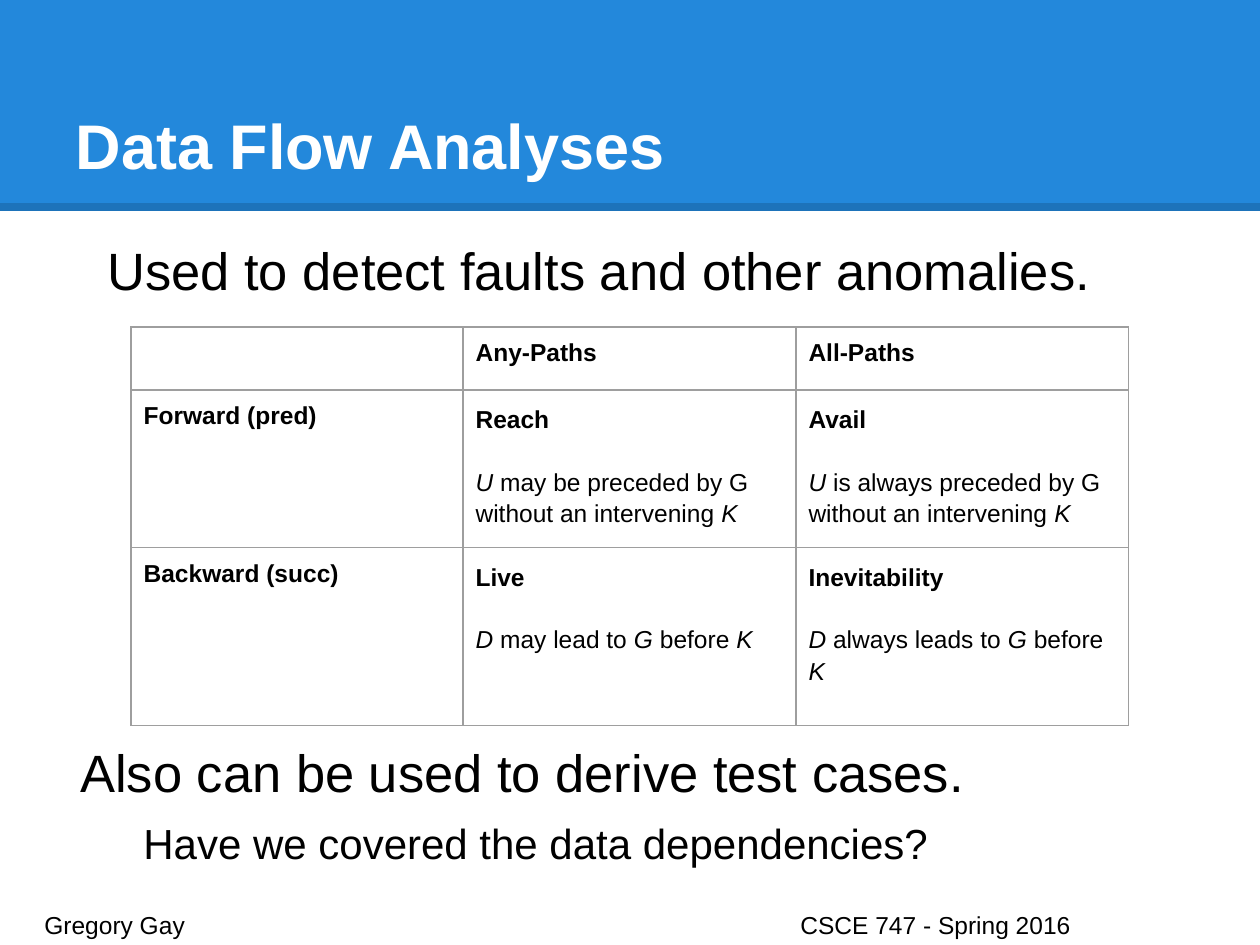
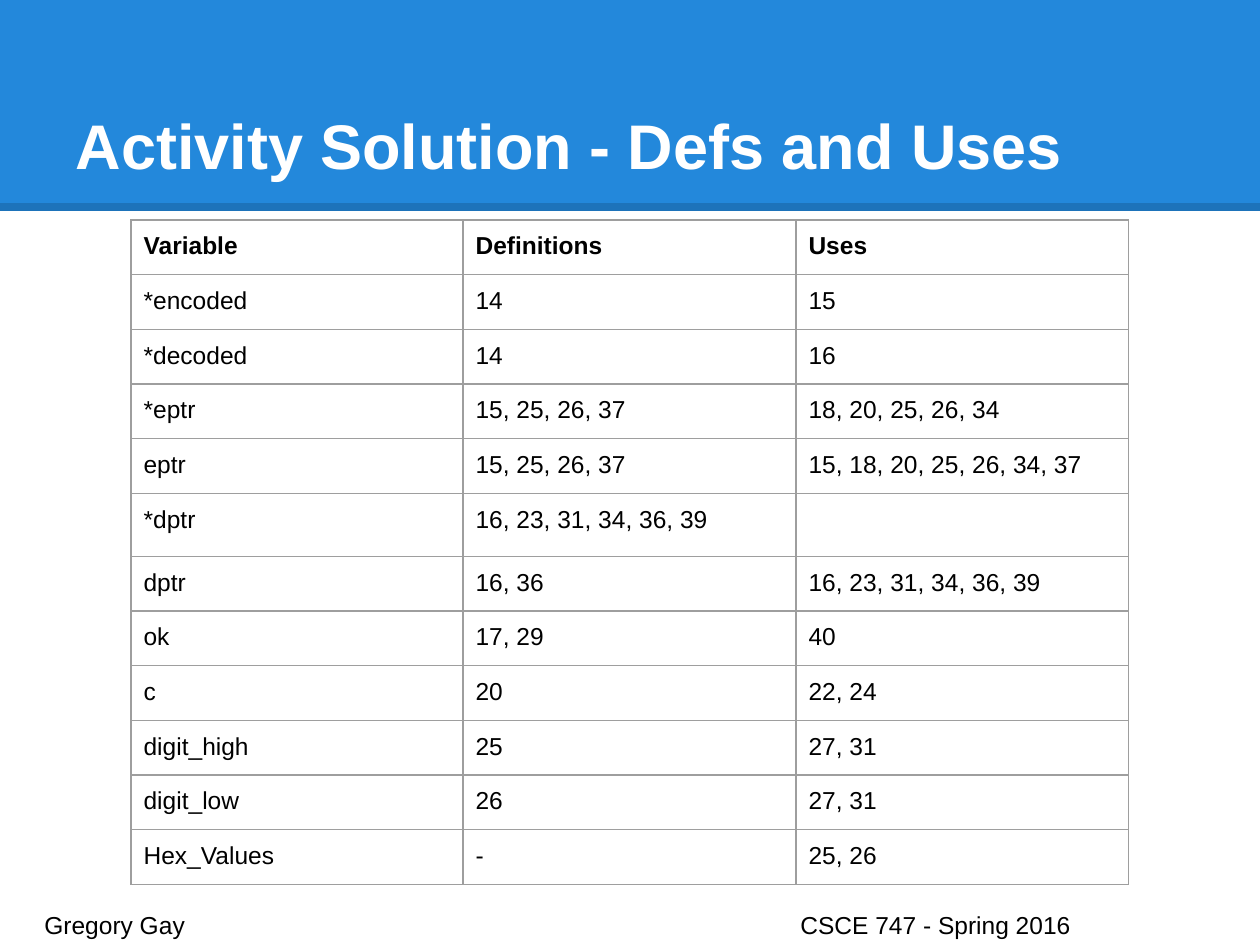
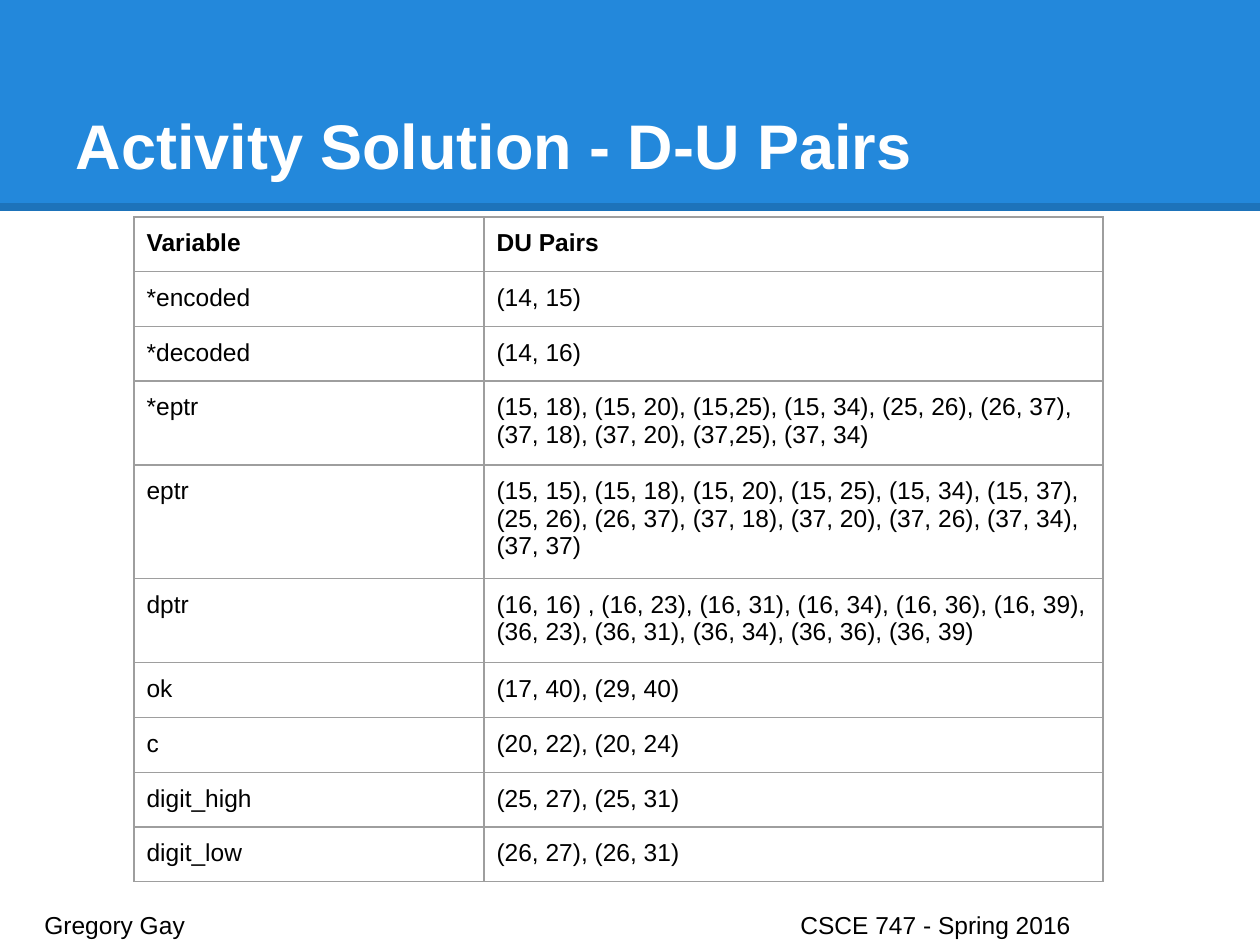
from lxml.etree import SubElement
from pptx import Presentation
from pptx.dml.color import RGBColor
from pptx.enum.shapes import MSO_CONNECTOR, MSO_SHAPE
from pptx.enum.text import MSO_ANCHOR, MSO_AUTO_SIZE, PP_ALIGN
from pptx.oxml.ns import qn
from pptx.util import Inches, Pt

PX = 914400 / 126
PAD = Inches(0.1)
FONT = "Arial"
BLUE = RGBColor(0x23, 0x88, 0xDB)
BLACK = RGBColor(0, 0, 0)
WHITE = RGBColor(0xFF, 0xFF, 0xFF)
GREY = RGBColor(0x9E, 0x9E, 0x9E)

FLOWS = [
    ["", "Any-Paths", "All-Paths"],
    ["Forward (pred)",
     ("Reach", ["U ", "may be preceded by G without an intervening ", "K"]),
     ("Avail", ["U ", "is always preceded by G without an intervening ", "K"])],
    ["Backward (succ)",
     ("Live", ["D ", "may lead to ", "G", " before ", "K"]),
     ("Inevitability", ["D ", "always leads to ", "G", " before ", "K"])],
]
USES = [
    ["Variable", "Definitions", "Uses"],
    ["*encoded", "14", "15"],
    ["*decoded", "14", "16"],
    ["*eptr", "15, 25, 26, 37", "18, 20, 25, 26, 34"],
    ["eptr", "15, 25, 26, 37", "15, 18, 20, 25, 26, 34, 37"],
    ["*dptr", "16, 23, 31, 34, 36, 39", ""],
    ["dptr", "16, 36", "16, 23, 31, 34, 36, 39"],
    ["ok", "17, 29", "40"],
    ["c", "20", "22, 24"],
    ["digit_high", "25", "27, 31"],
    ["digit_low", "26", "27, 31"],
    ["Hex_Values", "-", "25, 26"],
]
PAIRS = [
    ["Variable", "DU Pairs"],
    ["*encoded", "(14, 15)"],
    ["*decoded", "(14, 16)"],
    ["*eptr", "(15, 18), (15, 20), (15,25), (15, 34), (25, 26), (26, 37), "
              "(37, 18), (37, 20), (37,25), (37, 34)"],
    ["eptr", "(15, 15), (15, 18), (15, 20), (15, 25), (15, 34), (15, 37), "
             "(25, 26), (26, 37), (37, 18), (37, 20), (37, 26), (37, 34), "
             "(37, 37)"],
    ["dptr", "(16, 16) , (16, 23), (16, 31), (16, 34), (16, 36), (16, 39), "
             "(36, 23), (36, 31), (36, 34), (36, 36), (36, 39)"],
    ["ok", "(17, 40), (29, 40)"],
    ["c", "(20, 22), (20, 24)"],
    ["digit_high", "(25, 27), (25, 31)"],
    ["digit_low", "(26, 27), (26, 31)"],
]


def px(*values):
    return [round(value * PX) for value in values]


def style(para, size, color=BLACK, bold=False):
    for run in para.runs:
        font = run.font
        font.name, font.size, font.bold = FONT, Pt(size), bold
        font.color.rgb = color


def inset(item):
    """Give a text frame or a table cell the same margin on all sides."""
    item.margin_left = item.margin_right = PAD
    item.margin_top = item.margin_bottom = PAD


def add_box(slide, left, top, width, height):
    frame = slide.shapes.add_textbox(*px(left, top, width, height)).text_frame
    frame.word_wrap = True
    inset(frame)
    return frame


def add_band(slide):
    """Draw the blue band and its darker lower edge behind the title."""
    band = slide.shapes.add_shape(MSO_SHAPE.RECTANGLE, *px(0, 0, 1260, 211))
    band.shadow.inherit = False
    band.fill.solid()
    band.fill.fore_color.rgb = BLUE
    band.line.fill.background()

    edge = slide.shapes.add_connector(MSO_CONNECTOR.STRAIGHT,
                                      *px(0, 207, 1260, 207))
    edge.line.width = Pt(4.5)
    edge.line.color.rgb = BLACK
    props = edge.element.spPr
    tint = props.find(".//" + qn("a:srgbClr"))
    SubElement(tint, qn("a:alpha"), val="15000")
    SubElement(props, qn("a:effectLst"))

    tree = slide.shapes.element
    tree.insert(2, band.element)
    tree.insert(3, edge.element)


def add_title(slide, text):
    title = slide.shapes.title
    title.left, title.top, title.width, title.height = px(63, 38, 1134, 157)
    frame = title.text_frame
    frame.text = text
    frame.word_wrap = True
    frame.auto_size = MSO_AUTO_SIZE.NONE
    frame.vertical_anchor = MSO_ANCHOR.BOTTOM
    inset(frame)
    para = frame.paragraphs[0]
    para.alignment = PP_ALIGN.LEFT
    style(para, 36, WHITE, True)


def add_footer(slide):
    frame = add_box(slide, 32, 897, 1198, 38)
    frame.text = "Gregory Gay\tCSCE 747 - Spring 2016"
    para = frame.paragraphs[0]
    stops = SubElement(para._p.get_or_add_pPr(), qn("a:tabLst"))
    SubElement(stops, qn("a:tab"), pos=str(px(756)[0]), algn="l")
    style(para, 14)


def add_slide(deck, title):
    slide = deck.slides.add_slide(deck.slide_layouts[5])
    add_band(slide)
    add_title(slide, title)
    add_footer(slide)
    return slide


def add_body(slide, lines):
    """Write lines of (text, size, indent in px, points before)."""
    frame = add_box(slide, 63, 220, 1134, 684)
    frame.margin_top = px(18)[0]
    frame.text = "\n".join(line[0] for line in lines)
    for para, (_, size, indent, before) in zip(frame.paragraphs, lines):
        para._p.get_or_add_pPr().set("marL", str(px(indent)[0]))
        if before:
            para.space_before = Pt(before)
        style(para, size)


def add_border(cell):
    props = cell._tc.get_or_add_tcPr()
    for side in "LRTB":
        line = SubElement(props, qn("a:ln" + side), w=str(Pt(0.75)))
        fill = SubElement(line, qn("a:solidFill"))
        SubElement(fill, qn("a:srgbClr"), val=str(GREY))


def fill_cell(cell, value, bold):
    """Write plain text, or a (name, parts) pair with every other part italic."""
    frame = cell.text_frame
    if isinstance(value, str):
        frame.text = value
        style(frame.paragraphs[0], 14, bold=bold)
        return
    name, parts = value
    frame.text = name
    head = frame.paragraphs[0]
    style(head, 14, bold=True)
    note = frame.add_paragraph()
    for part in parts:
        note.add_run().text = part
    style(note, 14)
    for run in note.runs[::2]:
        run.font.italic = True
    head.line_spacing = note.line_spacing = 1.14
    note.space_before = Pt(18)


def add_grid(slide, left, top, widths, heights, rows, bold_side=False):
    frame = slide.shapes.add_table(
        len(rows), len(widths), *px(left, top, sum(widths), sum(heights)))
    table = frame.table
    table.first_row = table.horz_banding = False
    for col, width in zip(table.columns, px(*widths)):
        col.width = width
    for row, height in zip(table.rows, px(*heights)):
        row.height = height
    for r, values in enumerate(rows):
        for c, value in enumerate(values):
            cell = table.cell(r, c)
            inset(cell)
            add_border(cell)
            cell.fill.background()
            fill_cell(cell, value, r == 0 or (bold_side and c == 0))


def main():
    deck = Presentation()
    deck.slide_width, deck.slide_height = px(1260, 945)
    thirds = [332, 333, 333]

    slide = add_slide(deck, "Data Flow Analyses")
    add_body(slide, [
        ("Used to detect faults and other anomalies.", 30, 32, 0),
        ("Also can be used to derive test cases.", 30, 5, 251),
        ("Have we covered the data dependencies?", 24, 68, 8),
    ])
    add_grid(slide, 131, 327, thirds, [61, 150, 178], FLOWS, bold_side=True)

    slide = add_slide(deck, "Activity Solution - Defs and Uses")
    heights = [52 if all(row) else 61 for row in USES]
    add_grid(slide, 131, 220, thirds, heights, USES)

    slide = add_slide(deck, "Activity Solution - D-U Pairs")
    heights = [52] * 3 + [80, 108, 80] + [54, 55] * 2
    add_grid(slide, 134, 217, [350, 619], heights, PAIRS)

    deck.save("out.pptx")


if __name__ == "__main__":
    main()
